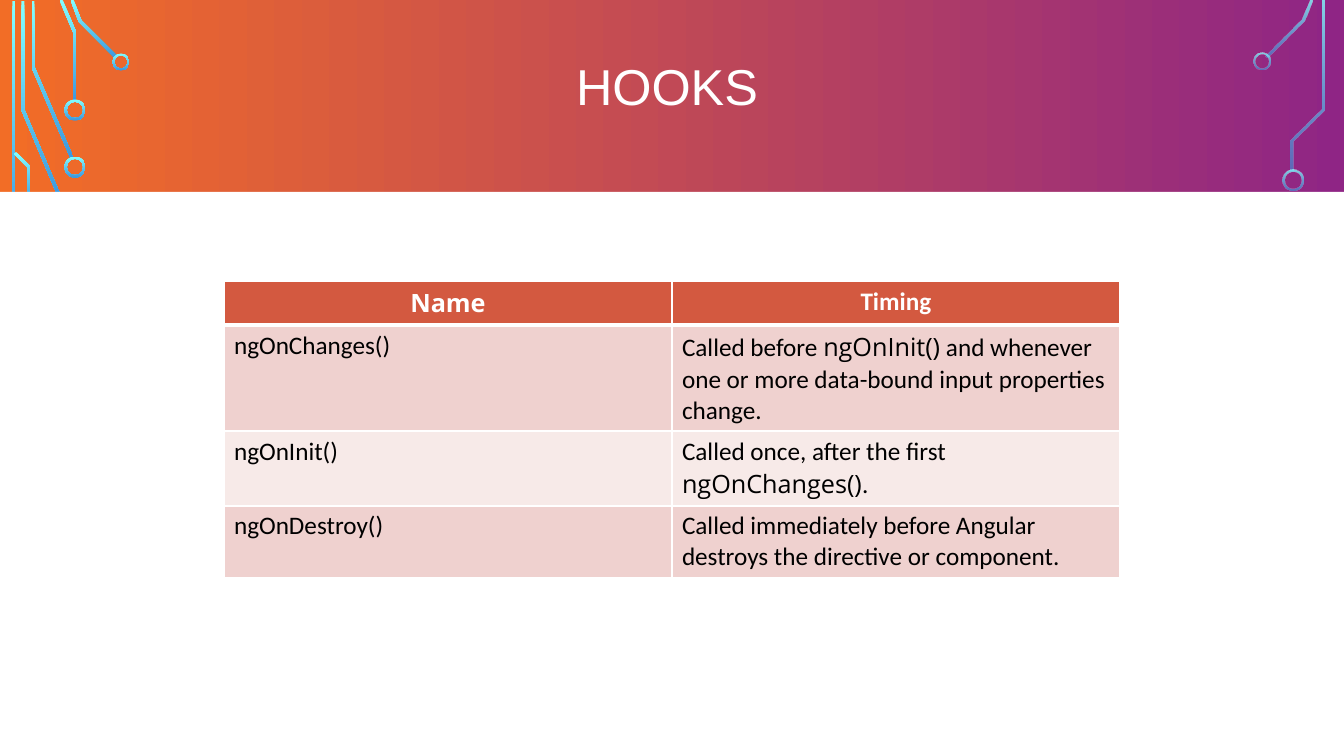
from math import hypot

from lxml import etree
from pptx import Presentation
from pptx.dml.color import RGBColor as Rgb
from pptx.enum.shapes import MSO_SHAPE as Shape
from pptx.enum.text import MSO_ANCHOR as Anchor, PP_ALIGN as Align
from pptx.oxml.ns import qn
from pptx.util import Pt

COLORS = {
    "purple": "8F2585", "orange": "F26D26",
    "aqua": "82FFFF", "blue": "3D97DE",
    "white": "FFFFFF", "black": "000000",
    "head": "D35940", "odd": "EFD1CF", "even": "F7EAE8",
}
SIZE = (1344, 756)
TITLE = "HOOKS"
TITLE_BOX = (76, 51, 1192, 76)
PANEL = (0, 192, 1344, 564)

# Circuit art: traces are centre lines, rings are (centre x, centre y, diameter)
STROKE = 3
CIRCUITS = [
    {
        "alpha": (100, 100),
        "traces": [
            [(14, 1), (14, 242)],
            [(23, 1), (23, 110), (61, 200)],
            [(33, 1), (33, 67), (72, 158)],
            [(61, 0), (75, 33), (75, 101)],
            [(72, 0), (80, 21), (116, 57)],
            [(15, 153), (29, 167), (29, 205)],
        ],
        "rings": [(75, 167, 21), (75, 110, 21), (121, 62, 17)],
    },
    {
        "alpha": (80, 60),
        "traces": [
            [(1311, 0), (1303, 20), (1267, 56)],
            [(1323, 1), (1323, 109), (1292, 140), (1292, 170)],
        ],
        "rings": [(1262, 61, 17), (1293, 180, 21)],
    },
]

# Each cell is a list of (text, font) runs
BODY, CODE = "Calibri", "Open Sans"
ROWS = [
    [[("Name", CODE)], [("Timing", BODY)]],
    [[("ngOnChanges()", BODY)],
     [("Called before ", BODY), ("ngOnInit()", CODE),
      (" and whenever one or more data-bound input properties change.", BODY)]],
    [[("ngOnInit()", BODY)],
     [("Called once, after the first ", BODY), ("ngOnChanges()", CODE), (".", BODY)]],
    [[("ngOnDestroy()", BODY)],
     [("Called immediately before Angular destroys the directive or component.", BODY)]],
]
TABLE_AT = (224, 281)
COL = 448
HEIGHTS = [44, 106, 75, 72]

SCALE = 12192000 / SIZE[0]


def emu(*vals):
    return [round(v * SCALE) for v in vals]


def rgb(name):
    return Rgb.from_string(COLORS[name])


def blend(fill, names, angle):
    fill.gradient()
    fill.gradient_angle = angle
    for stop, name in zip(fill.gradient_stops, names):
        stop.color.rgb = rgb(name)


def style(shape, alpha):
    """Give a circuit part its downward gradient, with opacity per stop."""
    shape.shadow.inherit = False
    shape.line.fill.background()
    blend(shape.fill, ("aqua", "blue"), 270)
    if min(alpha) < 100:
        for color, part in zip(shape._element.spPr.iter(qn("a:srgbClr")), alpha):
            etree.SubElement(color, qn("a:alpha")).set("val", str(part * 1000))


def ribbon(line):
    """Outline of a centre line drawn STROKE px wide with mitred corners."""
    norms = []
    for (ax, ay), (bx, by) in zip(line, line[1:]):
        size = hypot(bx - ax, by - ay)
        norms.append(((ay - by) / size, (bx - ax) / size))
    left, right = [], []
    pairs = zip(norms[:1] + norms, norms + norms[-1:])
    for (x, y), ((ax, ay), (bx, by)) in zip(line, pairs):
        k = STROKE / 2 / (1 + ax * bx + ay * by)
        dx, dy = (ax + bx) * k, (ay + by) * k
        left.append(emu(x + dx, y + dy))
        right.append(emu(x - dx, y - dy))
    return left + right[::-1]


def write(para, runs, **form):
    for text, font in runs:
        run = para.add_run()
        run.text = text
        run.font.color.rgb = rgb(form["color"])
        for key, val in {"name": font, "size": Pt(form["size"]), "bold": form["bold"]}.items():
            setattr(run.font, key, val)


def edge(cell, widths):
    props = cell._tc.get_or_add_tcPr()
    for side, width in widths.items():
        line = etree.SubElement(props, qn("a:ln" + side), w=str(Pt(width)))
        fill = etree.SubElement(line, qn("a:solidFill"))
        etree.SubElement(fill, qn("a:srgbClr"), val=COLORS["white"])


def draw_art(shapes):
    for part in CIRCUITS:
        for line in part["traces"]:
            first, *rest = ribbon(line)
            path = shapes.build_freeform(*first)
            path.add_line_segments(rest)
            style(path.convert_to_shape(), part["alpha"])
        for x, y, size in part["rings"]:
            ring = shapes.add_shape(Shape.DONUT, *emu(x - size / 2, y - size / 2, size, size))
            ring.adjustments[0] = 0.11
            style(ring, part["alpha"])


def draw_title(shapes):
    frame = shapes.add_textbox(*emu(*TITLE_BOX)).text_frame
    form = {"word_wrap": True, "vertical_anchor": Anchor.MIDDLE, "margin_left": 0}
    for key, val in form.items():
        setattr(frame, key, val)
    para = frame.paragraphs[0]
    para.alignment, para.line_spacing = Align.CENTER, 0.9
    write(para, [(TITLE, "Arial")], size=36, color="white", bold=False)


def draw_table(shapes):
    cols = len(ROWS[0])
    box = emu(*TABLE_AT, COL * cols, sum(HEIGHTS))
    table = shapes.add_table(len(ROWS), cols, *box).table
    for col in table.columns:
        col.width = emu(COL)[0]
    for r, (row, high) in enumerate(zip(ROWS, HEIGHTS)):
        table.rows[r].height = emu(high)[0]
        head = r == 0
        for c, runs in enumerate(row):
            cell = table.cell(r, c)
            edge(cell, {"L": 1, "R": 1, "T": 3 if r == 1 else 1, "B": 3 if head else 1})
            cell.fill.solid()
            cell.fill.fore_color.rgb = rgb("head" if head else "odd" if r % 2 else "even")
            para = cell.text_frame.paragraphs[0]
            para.alignment = Align.CENTER if head else Align.LEFT
            write(para, runs, size=18, color="white" if head else "black", bold=head)


def main():
    deck = Presentation()
    deck.slide_width, deck.slide_height = emu(*SIZE)
    slide = deck.slides.add_slide(deck.slide_layouts[6])
    blend(slide.background.fill, ("purple", "orange"), 180)
    draw_art(slide.shapes)
    panel = slide.shapes.add_shape(Shape.RECTANGLE, *emu(*PANEL))
    panel.shadow.inherit = False
    panel.line.fill.background()
    panel.fill.solid()
    panel.fill.fore_color.rgb = rgb("white")
    draw_title(slide.shapes)
    draw_table(slide.shapes)
    deck.save("out.pptx")


if __name__ == "__main__":
    main()
